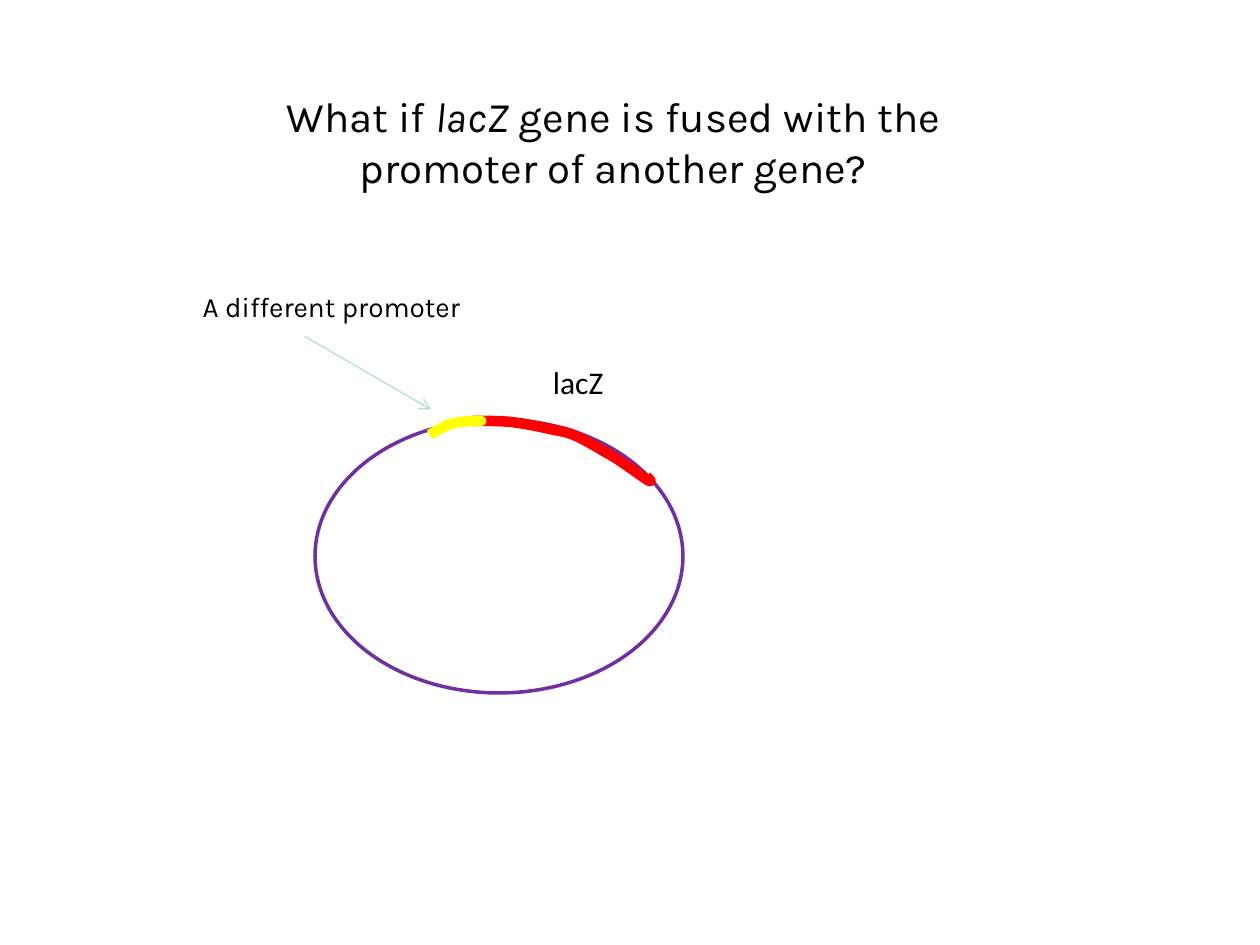
import dataclasses
import pptx
import pptx.dml.color
import pptx.enum.shapes
import pptx.enum.text
import pptx.oxml
import pptx.oxml.ns
import pptx.util

Inches = pptx.util.Inches
Pt = pptx.util.Pt
Align = pptx.enum.text.PP_ALIGN
Anchor = pptx.enum.text.MSO_ANCHOR
Shape = pptx.enum.shapes.MSO_SHAPE


@dataclasses.dataclass(frozen=True)
class Theme:
    heading_font: str = "Karla"
    label_font: str = "Calibri"
    title_size: float = 24
    gene_size: float = 18
    promoter_size: float = 16
    ink: str = "000000"
    paper: str = "FFFFFF"
    plasmid: str = "7030A0"
    gene: str = "FF0000"
    promoter: str = "FFFF00"
    pointer: str = "B6DCDF"


def color(value):
    return pptx.dml.color.RGBColor.from_string(value)


def write(frame, spans, *, font, size, ink, align=Align.LEFT, wrap=False):
    frame.word_wrap = wrap
    frame.auto_size = pptx.enum.text.MSO_AUTO_SIZE.NONE
    frame.vertical_anchor = Anchor.TOP
    frame.margin_left = frame.margin_right = Inches(0.1)
    frame.margin_top = frame.margin_bottom = Inches(0.05)
    para = frame.paragraphs[0]
    para.alignment = align
    para.line_spacing = 1.0
    para.space_before = Pt(0)
    for text, italic in spans:
        span = para.add_run()
        span.text = text
        span.font.name = font
        span.font.size = Pt(size)
        span.font.italic = italic
        span.font.color.rgb = color(ink)


def trace(start, curves, steps=12):
    points = [start]
    for first, second, end in curves:
        begin = points[-1]
        for step in range(1, steps + 1):
            t = step / steps
            weights = ((1 - t) ** 3, 3 * t * (1 - t) ** 2, 3 * t * t * (1 - t), t ** 3)
            corners = (begin, first, second, end)
            points.append(tuple(sum(w * corner[axis] for w, corner in zip(weights, corners))
                                for axis in (0, 1)))
    return points


class Page:
    def __init__(self, deck, theme):
        self.theme = theme
        self.slide = deck.slides.add_slide(deck.slide_layouts[5])
        self.slide.background.fill.solid()
        self.slide.background.fill.fore_color.rgb = color(theme.paper)

    def outline(self, shape, ink, weight):
        shape.shadow.inherit = False
        shape.fill.background()
        shape.line.color.rgb = color(ink)
        shape.line.width = Pt(weight)

    def title(self, place, spans):
        box = self.slide.shapes.title
        box.left, box.top, box.width, box.height = map(Inches, place)
        write(box.text_frame, spans, font=self.theme.heading_font,
              size=self.theme.title_size, ink=self.theme.ink,
              align=Align.CENTER, wrap=True)

    def shape(self, kind, place, ink, weight):
        shape = self.slide.shapes.add_shape(kind, *map(Inches, place))
        self.outline(shape, ink, weight)
        return shape

    def label(self, place, text, **style):
        box = self.slide.shapes.add_textbox(*map(Inches, place))
        write(box.text_frame, [(text, False)], ink=self.theme.ink, **style)

    def framed_label(self, place, text, **style):
        box = self.shape(Shape.RECTANGLE, place, self.theme.paper, 0.75)
        write(box.text_frame, [(text, False)], ink=self.theme.ink, **style)

    def stroke(self, points, ink, weight):
        places = [(Inches(x), Inches(y)) for x, y in points]
        builder = self.slide.shapes.build_freeform(*places[0])
        builder.add_line_segments(places[1:], close=False)
        self.outline(builder.convert_to_shape(), ink, weight)

    def arrow(self, start, end, ink, weight):
        line = self.slide.shapes.add_connector(
            pptx.enum.shapes.MSO_CONNECTOR.STRAIGHT, *map(Inches, start + end))
        line.line.color.rgb = color(ink)
        line.line.width = Pt(weight)
        space = pptx.oxml.ns.nsdecls("a")
        line.line._get_or_add_ln().append(
            pptx.oxml.parse_xml(f'<a:tailEnd {space} type="arrow"/>'))
        line._element.spPr.append(pptx.oxml.parse_xml(f"<a:effectLst {space}/>"))


def main():
    deck = pptx.Presentation()
    deck.slide_width, deck.slide_height = Inches(10), Inches(7.5)
    theme = Theme()
    page = Page(deck, theme)

    page.title((2.08, 0.67, 5.58, 0.9), [
        ("What if ", False), ("lacZ", True),
        (" gene is fused with the promoter of another gene?", False)])
    page.shape(Shape.OVAL, (2.5, 3.33, 2.92, 2.17), theme.plasmid, 2)

    gene = trace((3.75, 3.34), [
        ((3.86, 3.34), (3.96, 3.34), (4.06, 3.35)),
        ((4.15, 3.36), (4.25, 3.38), (4.34, 3.4)),
        ((4.42, 3.42), (4.48, 3.42), (4.57, 3.46)),
        ((4.66, 3.5), (4.77, 3.57), (4.86, 3.62)),
        ((4.96, 3.68), (5.09, 3.78), (5.14, 3.81)),
        ((5.18, 3.83), (5.16, 3.81), (5.13, 3.78))])
    page.stroke(gene, theme.gene, 6)
    page.label((4.29, 2.83, 0.6, 0.4), "lacZ",
               font=theme.label_font, size=theme.gene_size)

    promoter = trace((3.41, 3.45), [
        ((3.46, 3.42), (3.52, 3.39), (3.56, 3.37)),
        ((3.6, 3.36), (3.61, 3.36), (3.64, 3.35)),
        ((3.67, 3.35), (3.75, 3.34), (3.75, 3.34))])
    page.stroke(promoter + [(3.82, 3.34), (3.79, 3.34)], theme.promoter, 6)
    page.arrow((2.42, 2.67), (3.42, 3.25), theme.pointer, 0.75)
    page.framed_label((1.51, 2.25, 2.36, 0.37), "A different promoter",
                      font=theme.heading_font, size=theme.promoter_size)

    deck.save("out.pptx")


if __name__ == "__main__":
    main()
